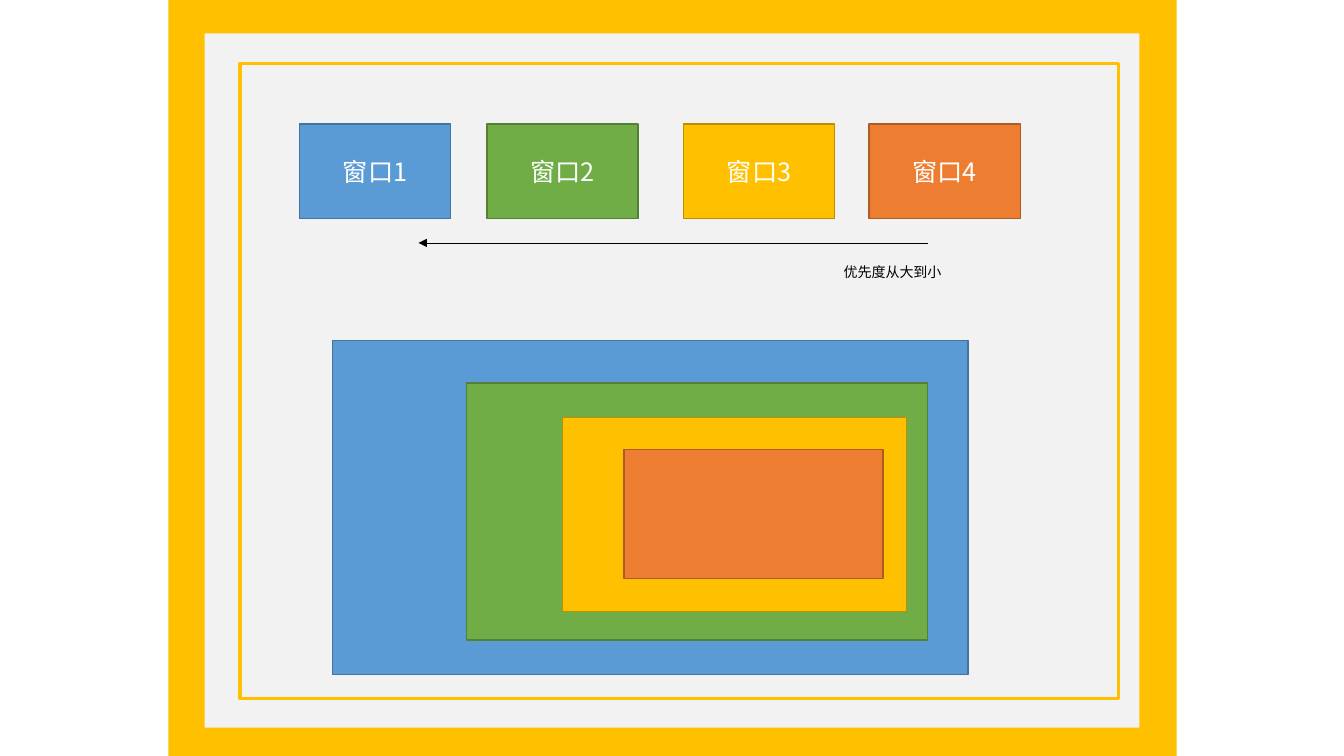
"""Build a slide showing four windows and how they nest by priority."""
from lxml.etree import SubElement
from pptx import Presentation
from pptx.dml.color import RGBColor
from pptx.enum.shapes import MSO_CONNECTOR, MSO_SHAPE
from pptx.enum.text import MSO_ANCHOR, MSO_AUTO_SIZE, PP_ALIGN
from pptx.oxml.ns import qn
from pptx.util import Inches, Pt


def color(hex_string):
    return RGBColor.from_string(hex_string)


def add_rectangle(slide, box, fill=None, line=None, line_width=1):
    shape = slide.shapes.add_shape(MSO_SHAPE.RECTANGLE, *[Inches(length) for length in box])
    shape.shadow.inherit = False
    if fill:
        shape.fill.solid()
        shape.fill.fore_color.rgb = color(fill)
    else:
        shape.fill.background()
    if line:
        shape.line.color.rgb = color(line)
        shape.line.width = Pt(line_width)
    else:
        shape.line.fill.background()
    return shape


presentation = Presentation()
presentation.slide_width = Inches(13.33)
presentation.slide_height = Inches(7.5)
slide = presentation.slides.add_slide(presentation.slide_layouts[6])

add_rectangle(slide, (1.67, 0, 10, 7.5), fill="FFC000")
add_rectangle(slide, (2.03, 0.33, 9.27, 6.89), fill="F2F2F2")
add_rectangle(slide, (2.38, 0.63, 8.71, 6.3), line="FFC000", line_width=2.25)

windows = [
    ("窗口1", 2.97, "5B9BD5", "43739E", (3.3, 3.38, 6.3, 3.31)),
    ("窗口2", 4.83, "70AD47", "538035", (4.63, 3.8, 4.57, 2.55)),
    ("窗口3", 6.78, "FFC000", "BD8E00", (5.58, 4.14, 3.41, 1.93)),
    ("窗口4", 8.62, "ED7D31", "AF5C24", (6.19, 4.46, 2.57, 1.28)),
]
for label, left, fill, line, nested_box in windows:
    window = add_rectangle(slide, (left, 1.23, 1.5, 0.94), fill, line)
    window.text_frame.vertical_anchor = MSO_ANCHOR.MIDDLE
    paragraph = window.text_frame.paragraphs[0]
    paragraph.alignment = PP_ALIGN.CENTER
    run = paragraph.add_run()
    run.text = label
    run.font.size = Pt(18)
    run.font.color.rgb = color("FFFFFF")
    run.font.name = "Noto Sans CJK KR"
    SubElement(run.font._element, qn("a:ea"), typeface="Noto Sans CJK KR")

for label, left, fill, line, nested_box in windows:
    add_rectangle(slide, nested_box, fill, line)

arrow = slide.shapes.add_connector(
    MSO_CONNECTOR.STRAIGHT, Inches(9.2), Inches(2.41), Inches(4.15), Inches(2.41)
)
arrow.line.color.rgb = color("000000")
arrow.line.width = Pt(0.5)
SubElement(arrow.line._get_or_add_ln(), qn("a:tailEnd"), type="triangle")
SubElement(arrow._element.spPr, qn("a:effectLst"))

caption = slide.shapes.add_textbox(Inches(8.27), Inches(2.57), Inches(1.84), Inches(0.27))
caption.text_frame.word_wrap = True
caption.text_frame.auto_size = MSO_AUTO_SIZE.SHAPE_TO_FIT_TEXT
run = caption.text_frame.paragraphs[0].add_run()
run.text = "优先度从大到小"
run.font.size = Pt(10)
run.font.name = "Calibri"
run.font.color.rgb = color("000000")

presentation.save("out.pptx")
